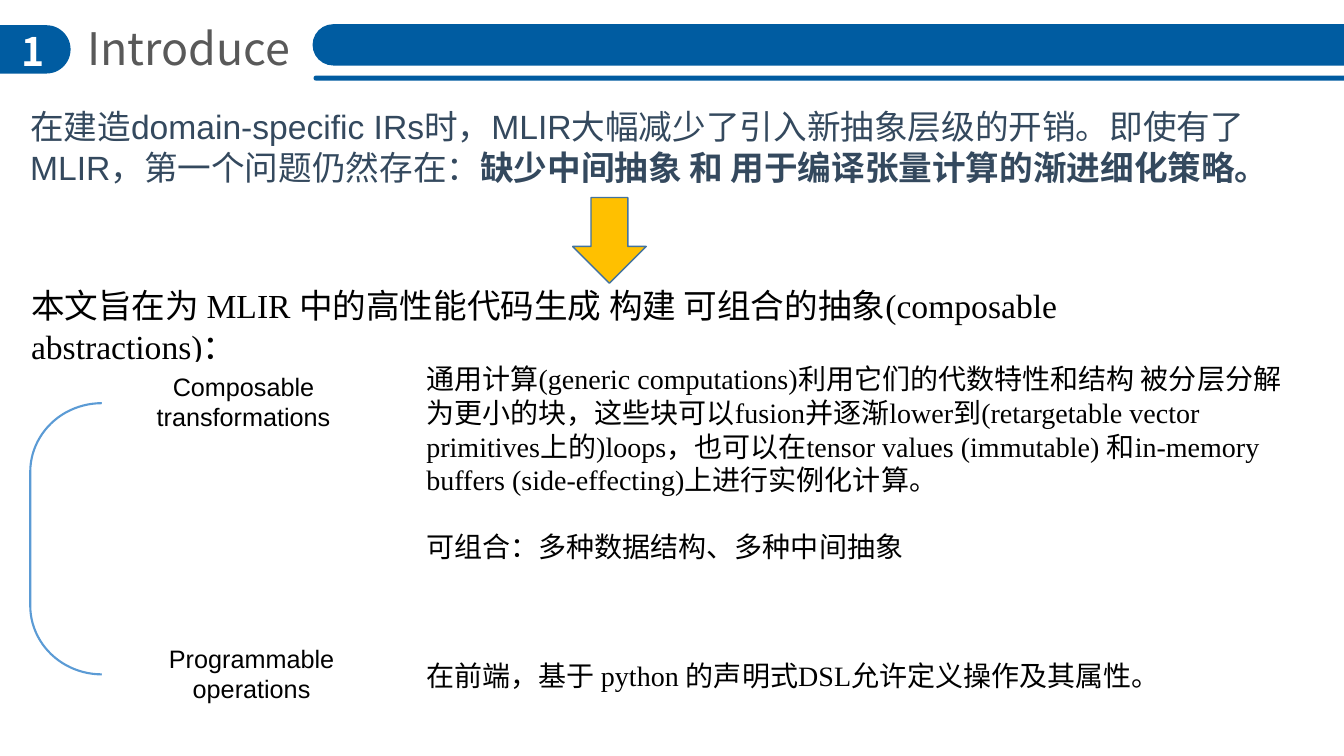
from lxml.etree import SubElement
from pptx import Presentation
from pptx.dml.color import RGBColor
from pptx.enum.shapes import MSO_SHAPE
from pptx.enum.text import MSO_ANCHOR, MSO_AUTO_SIZE, PP_ALIGN
from pptx.oxml.ns import qn
from pptx.util import Pt

PX = 9144
COLORS = {
    "blue": "005CA1",
    "title": "595959",
    "slate": "34495E",
    "arrow": "FFC000",
    "arrow_line": "43739E",
    "bracket": "5B9BD5",
    "black": "000000",
    "white": "FFFFFF",
}
SANS, ARIAL, TIMES = "Noto Sans CJK SC", "Arial", "Times New Roman"

presentation = Presentation()
presentation.slide_width = 1333 * PX
presentation.slide_height = 750 * PX
slide = presentation.slides.add_slide(presentation.slide_layouts[6])


def add_shape(kind, box, fill=None, line=None, line_width=1, adjustment=None):
    shape = slide.shapes.add_shape(kind, *[value * PX for value in box])
    shape.shadow.inherit = False
    if adjustment is not None:
        shape.adjustments[0] = adjustment
    if fill:
        shape.fill.solid()
        shape.fill.fore_color.rgb = RGBColor.from_string(COLORS[fill])
    else:
        shape.fill.background()
    if line:
        shape.line.color.rgb = RGBColor.from_string(COLORS[line])
        shape.line.width = Pt(line_width)
    else:
        shape.line.fill.background()


def add_text(box, paragraphs, size, font, color="black", bold=None, align=PP_ALIGN.LEFT,
             anchor=MSO_ANCHOR.TOP, grow=True, wrap=True, gap=0):
    shape = slide.shapes.add_textbox(*[value * PX for value in box])
    frame = shape.text_frame
    frame.word_wrap = wrap
    frame.auto_size = MSO_AUTO_SIZE.SHAPE_TO_FIT_TEXT if grow else MSO_AUTO_SIZE.NONE
    frame.vertical_anchor = anchor
    for index, text in enumerate(paragraphs):
        paragraph = frame.add_paragraph() if index else frame.paragraphs[0]
        paragraph.add_run().text = text
        paragraph.alignment = align
        if index:
            paragraph.space_before = Pt(gap)
        paragraph.font.size = Pt(size)
        paragraph.font.bold = bold
        paragraph.font.color.rgb = RGBColor.from_string(COLORS[color])
        paragraph.font.name = font
        properties = paragraph._p.pPr.find(qn("a:defRPr"))
        SubElement(properties, qn("a:ea")).set("typeface", SANS)
    return frame


add_text((77, 16, 227, 64), ["Introduce"], 32, SANS, "title", wrap=False)
for header_bar in [(310, 24, 1075, 41), (311, 75, 1075, 5), (-28, 25, 98, 48)]:
    add_shape(MSO_SHAPE.ROUNDED_RECTANGLE, header_bar, "blue", adjustment=0.5)
add_text((7, 22, 51, 57), ["1"], 28, SANS, "white", bold=True, align=PP_ALIGN.CENTER)

problem = add_text(
    (30, 91, 1274, 109),
    ["在建造domain-specific IRs时，MLIR大幅减少了引入新抽象层级的开销。即使有了MLIR，第一个问题仍然存在："],
    24, ARIAL, "slate", anchor=MSO_ANCHOR.MIDDLE)
problem.margin_left = problem.margin_right = 0
problem.margin_top = problem.margin_bottom = 14 * PX
emphasis = problem.paragraphs[0].add_run()
emphasis.text = "缺少中间抽象 和 用于编译张量计算的渐进细化策略。"
emphasis.font.bold = True

add_shape(MSO_SHAPE.DOWN_ARROW, (568, 196, 73, 85), "arrow", "arrow_line")
add_text((21, 278, 1240, 50),
         ["本文旨在为 MLIR 中的高性能代码生成 构建 可组合的抽象(composable abstractions)："],
         24, TIMES)

add_shape(MSO_SHAPE.LEFT_BRACKET, (30, 400, 71, 269), line="bracket", line_width=1.5,
          adjustment=0.96)
for top, left, width, label in [
    (359, 137, 209, "Composable transformations"),
    (629, 125, 249, "Programmable operations"),
]:
    add_shape(MSO_SHAPE.ROUNDED_RECTANGLE, (101, top, 297, 77), "white", adjustment=0.5)
    add_text((left, top + 10, width, 58), [label], 18, ARIAL, align=PP_ALIGN.CENTER,
             anchor=MSO_ANCHOR.MIDDLE, grow=False)

add_text(
    (413, 354, 887, 212),
    ["通用计算(generic computations)利用它们的代数特性和结构 被分层分解为更小的块，"
     "这些块可以fusion并逐渐lower到(retargetable vector primitives上的)loops，"
     "也可以在tensor values (immutable) 和in-memory buffers (side-effecting)上进行实例化计算。",
     "可组合：多种数据结构、多种中间抽象"],
    20, TIMES, gap=24)
add_text((413, 648, 887, 44),
         ["在前端，基于 python 的声明式DSL允许定义操作及其属性。"], 20, TIMES)

presentation.save("out.pptx")
